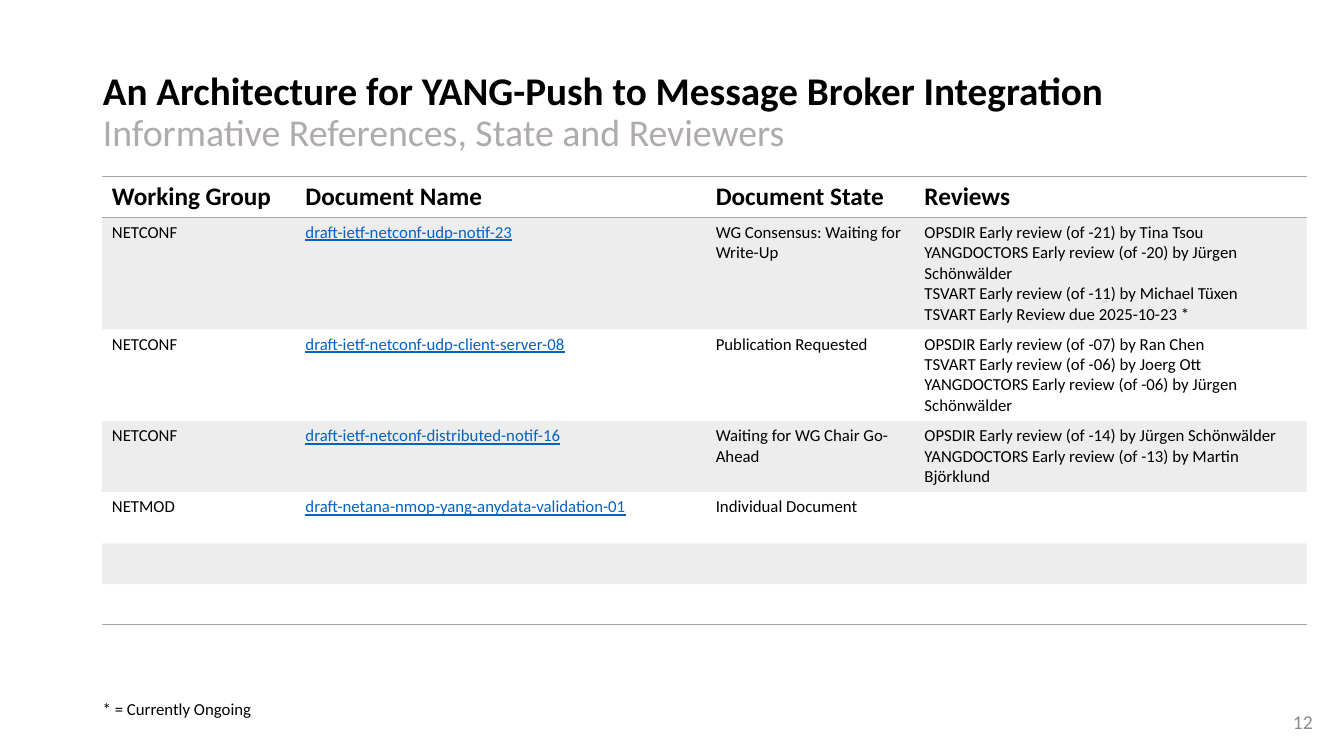
from copy import deepcopy
from dataclasses import dataclass

import pptx
import pptx.dml.color
import pptx.enum.text
import pptx.oxml
import pptx.oxml.ns
import pptx.util

SLIDE_WIDTH = pptx.util.Inches(13.333)
SLIDE_HEIGHT = pptx.util.Inches(7.5)
ALIGN = pptx.enum.text.PP_ALIGN
ANCHOR = pptx.enum.text.MSO_ANCHOR


@dataclass(frozen=True)
class Theme:
    font: str = "Calibri"
    ink: str = "000000"
    muted: str = "AFABAB"
    number: str = "8C8C8C"
    link: str = "0563C1"
    band: str = "A5A5A5"
    band_opacity: int = 20
    title_size: int = 28
    subtitle_size: int = 27
    header_size: int = 18
    number_size: int = 14
    body_size: int = 12
    rule_width: int = 1


@dataclass(frozen=True)
class Area:
    left: float
    top: float
    width: float
    height: float


@dataclass(frozen=True)
class Draft:
    group: str = ""
    name: str = ""
    state: str = ""
    reviews: tuple[str, ...] = ()


THEME = Theme()
TITLE_AREA = Area(6.9, 5.33, 86.25, 19.33)
TABLE_AREA = Area(7.58, 23.33, 89.64, 59.95)
FOOTNOTE_AREA = Area(6.9, 92, 90.3, 4.13)
NUMBER_AREA = Area(95.03, 92.8, 3.38, 5.33)
COLUMN_WIDTHS = (14.4, 30.53, 15.53, 29.18)
ROW_HEIGHTS = (5.4, 14.8, 12.15, 9.4, 6.8, 5.4, 5.4)

HEADERS = ("Working Group", "Document Name", "Document State", "Reviews")
DRAFTS = (
    Draft("NETCONF", "draft-ietf-netconf-udp-notif-23", "WG Consensus: Waiting for Write-Up", (
        "OPSDIR Early review (of -21) by Tina Tsou",
        "YANGDOCTORS Early review (of -20) by Jürgen Schönwälder",
        "TSVART Early review (of -11) by Michael Tüxen",
        "TSVART Early Review due 2025-10-23 *",
    )),
    Draft("NETCONF", "draft-ietf-netconf-udp-client-server-08", "Publication Requested", (
        "OPSDIR Early review (of -07) by Ran Chen",
        "TSVART Early review (of -06) by Joerg Ott",
        "YANGDOCTORS Early review (of -06) by Jürgen Schönwälder",
    )),
    Draft("NETCONF", "draft-ietf-netconf-distributed-notif-16", "Waiting for WG Chair Go-Ahead", (
        "OPSDIR Early review (of -14) by Jürgen Schönwälder",
        "YANGDOCTORS Early review (of -13) by Martin Björklund",
    )),
    Draft("NETMOD", "draft-netana-nmop-yang-anydata-validation-01", "Individual Document"),
    Draft(),
    Draft(),
)


def across(columns: float) -> int:
    return round(SLIDE_WIDTH * columns / 100)


def down(rows: float) -> int:
    return round(SLIDE_HEIGHT * rows / 100)


def place(area: Area) -> tuple[int, int, int, int]:
    return across(area.left), down(area.top), across(area.width), down(area.height)


def write(para, text: str, *, size: int = THEME.body_size, color: str = THEME.ink,
          bold: bool = False, underline: bool = False, align=ALIGN.LEFT,
          line_spacing: float | None = None):
    para.alignment = align
    if line_spacing is not None:
        para.line_spacing = line_spacing
    span = para.add_run()
    span.text = text
    span.font.name = THEME.font
    span.font.size = pptx.util.Pt(size)
    span.font.bold = bold
    span.font.underline = underline
    span.font.color.rgb = pptx.dml.color.RGBColor.from_string(color)
    return span


def add_title(page) -> None:
    title = page.shapes.title
    title.left, title.top, title.width, title.height = place(TITLE_AREA)
    frame = title.text_frame
    frame.auto_size = pptx.enum.text.MSO_AUTO_SIZE.NONE
    frame.vertical_anchor = ANCHOR.MIDDLE
    para = frame.paragraphs[0]
    heading = write(para, "An Architecture for YANG-Push to Message Broker Integration",
                    size=THEME.title_size, bold=True, line_spacing=0.9)
    para.add_line_break()
    line_break = para._p.find(pptx.oxml.ns.qn("a:br"))
    line_break.append(deepcopy(heading._r.rPr))
    write(para, "Informative References, State and Reviewers",
          size=THEME.subtitle_size, color=THEME.muted, line_spacing=0.9)


def add_label(page, area: Area, text: str, *, anchor=ANCHOR.TOP, **text_format) -> None:
    box = page.shapes.add_textbox(*place(area))
    box.text_frame.word_wrap = True
    box.text_frame.vertical_anchor = anchor
    write(box.text_frame.paragraphs[0], text, **text_format)


def fill_cell(cell, lines: tuple[str, ...], **text_format) -> None:
    frame = cell.text_frame
    for index, line in enumerate(lines):
        para = frame.paragraphs[0] if index == 0 else frame.add_paragraph()
        write(para, line, **text_format)


def paint_cell(cell, *, banded: bool, rules: tuple[str, ...]) -> None:
    if banded:
        cell.fill.solid()
        cell.fill.fore_color.rgb = pptx.dml.color.RGBColor.from_string(THEME.band)
        tint = next(cell._tc.tcPr.iter(pptx.oxml.ns.qn("a:srgbClr")))
        alpha = pptx.oxml.parse_xml(
            f'<a:alpha {pptx.oxml.ns.nsdecls("a")} val="{THEME.band_opacity * 1000}"/>')
        tint.append(alpha)
    else:
        cell.fill.background()
    for position, side in enumerate(rules):
        rule = pptx.oxml.parse_xml(
            f'<a:{side} {pptx.oxml.ns.nsdecls("a")} w="{pptx.util.Pt(THEME.rule_width)}">'
            f'<a:solidFill><a:srgbClr val="{THEME.band}"/></a:solidFill></a:{side}>')
        cell._tc.tcPr.insert(position, rule)


def add_draft_table(page) -> None:
    row_count = len(DRAFTS) + 1
    table = page.shapes.add_table(row_count, len(HEADERS), *place(TABLE_AREA)).table
    table.horz_banding = False
    style = next(table._tbl.tblPr.iter(pptx.oxml.ns.qn("a:tableStyleId")))
    style.text = "{2D5ABB26-0587-4C30-8999-92F81FD0307C}"
    for column, width in zip(table.columns, COLUMN_WIDTHS):
        column.width = across(width)
    for row, height in zip(table.rows, ROW_HEIGHTS):
        row.height = down(height)
    for column, header in enumerate(HEADERS):
        cell = table.cell(0, column)
        fill_cell(cell, (header,), size=THEME.header_size, bold=True)
        paint_cell(cell, banded=False, rules=("lnT", "lnB"))
    for row, draft in enumerate(DRAFTS, start=1):
        entries = ((draft.group,), (draft.name,), (draft.state,), draft.reviews)
        for column, lines in enumerate(entries):
            cell = table.cell(row, column)
            is_link = HEADERS[column] == "Document Name"
            fill_cell(cell, tuple(filter(None, lines)), underline=is_link,
                      color=THEME.link if is_link else THEME.ink)
            paint_cell(cell, banded=row % 2 == 1,
                       rules=("lnB",) if row == row_count - 1 else ())


def main() -> None:
    deck = pptx.Presentation()
    deck.slide_width = SLIDE_WIDTH
    deck.slide_height = SLIDE_HEIGHT
    page = deck.slides.add_slide(deck.slide_layouts.get_by_name("Title Only"))
    add_title(page)
    add_label(page, NUMBER_AREA, "12", anchor=ANCHOR.MIDDLE, size=THEME.number_size,
              color=THEME.number, align=ALIGN.RIGHT)
    add_draft_table(page)
    add_label(page, FOOTNOTE_AREA, "* = Currently Ongoing", line_spacing=0.9)
    deck.save("out.pptx")


if __name__ == "__main__":
    main()
